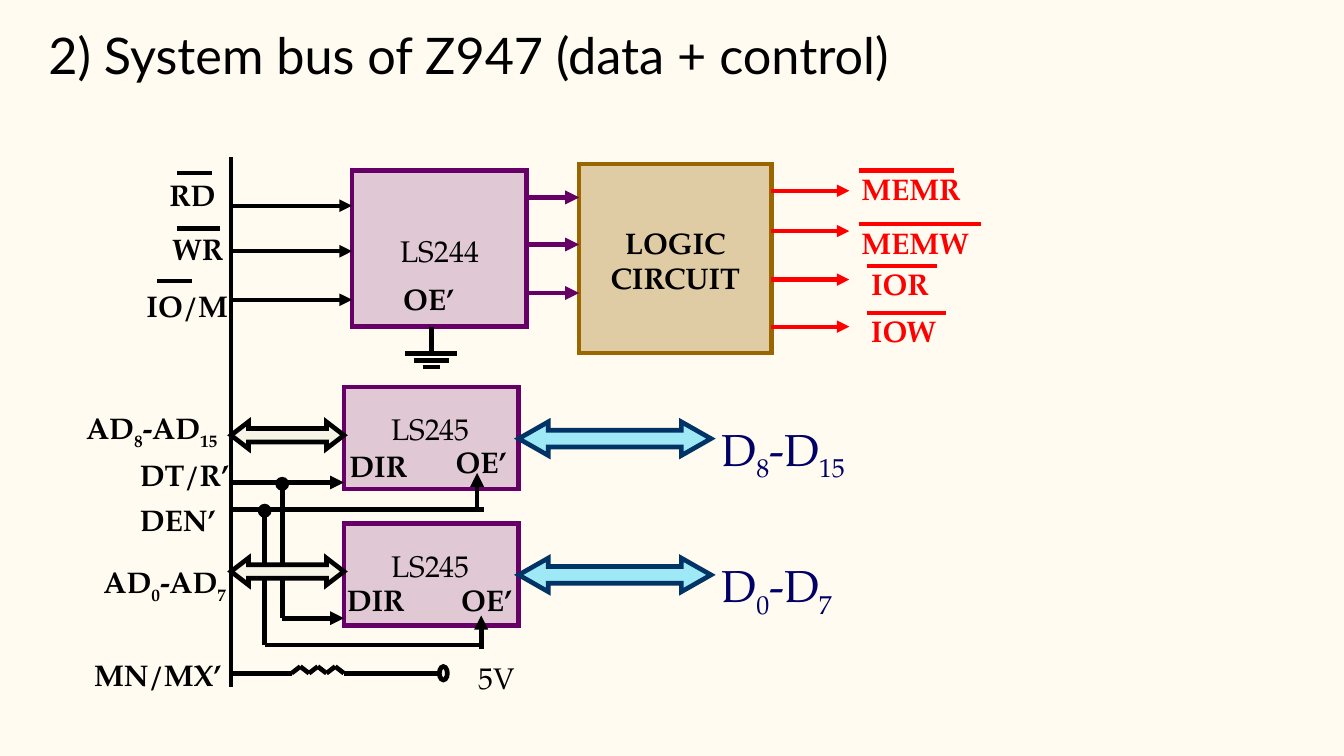
"""Build the slide showing the data and control buses of the Z947."""
from dataclasses import dataclass
from itertools import pairwise

from lxml.etree import SubElement
from pptx import Presentation
from pptx.dml.color import RGBColor
from pptx.enum.shapes import MSO_CONNECTOR, MSO_SHAPE
from pptx.enum.text import MSO_ANCHOR, MSO_AUTO_SIZE, PP_ALIGN
from pptx.oxml.ns import qn
from pptx.util import Pt

COLORS = {
    "page": "FFFBF0", "ink": "000000", "buffer": "660066", "logic": "996600",
    "control": "FF0000", "arrow": "3B812F", "data": "00CCFF",
    "data_line": "003366", "data_text": "000066",
}
BUS_X, LS244_X, LS244_RIGHT = 123.8, 188.6, 282.2
LS245_X, LS245_RIGHT = 184.3, 277.9
LOGIC_X, LOGIC_RIGHT, OUTPUT_X = 310.3, 413.3, 455
ROW_PITCH = 73


@dataclass
class Block:
    kind: MSO_SHAPE
    x: float
    y: float
    w: float
    h: float
    fill: str
    alpha: int
    line: str
    width: float = 2.5
    adj: tuple = ()


@dataclass
class Wire:
    x1: float
    y1: float
    x2: float
    y2: float
    color: str = "ink"
    width: float = 2.5
    head: str = ""
    tail: str = ""


@dataclass
class Label:
    """Text lines; within a line every second part is a subscript."""
    lines: list
    x: float
    y: float
    w: float
    h: float = 26.6
    size: int = 16
    bold: bool = True
    color: str = "ink"
    align: PP_ALIGN = PP_ALIGN.LEFT


@dataclass
class Signal:
    name: str
    x: float
    y: float
    w: float
    bar_x1: float
    bar_x2: float
    bar_y: float
    wire_y: float


def rgb(name: str) -> RGBColor:
    return RGBColor.from_string(COLORS[name])


def apply(obj, fmt: dict) -> None:
    for key, value in fmt.items():
        setattr(obj, key, value)


def add_block(s, b: Block) -> None:
    sp = s.shapes.add_shape(b.kind, Pt(b.x), Pt(b.y), Pt(b.w), Pt(b.h))
    sp.shadow.inherit = False
    for i, value in enumerate(b.adj):
        sp.adjustments[i] = value
    sp.fill.solid()
    sp.fill.fore_color.rgb = rgb(b.fill)
    color = sp._element.spPr.find(qn("a:solidFill"))[0]
    SubElement(color, qn("a:alpha"), val=str(b.alpha * 1000))
    sp.line.color.rgb = rgb(b.line)
    sp.line.width = Pt(b.width)
    SubElement(sp.line._get_or_add_ln(), qn("a:miter"), lim="800000")


def add_wire(s, w: Wire) -> None:
    sp = s.shapes.add_connector(MSO_CONNECTOR.STRAIGHT, Pt(w.x1), Pt(w.y1), Pt(w.x2), Pt(w.y2))
    sp.line.color.rgb = rgb(w.color)
    sp.line.width = Pt(w.width)
    for tag, end in (("a:headEnd", w.head), ("a:tailEnd", w.tail)):
        if end:
            SubElement(sp.line._get_or_add_ln(), qn(tag), type=end)
    SubElement(sp._element.spPr, qn("a:effectLst"))


def add_label(s, t: Label) -> None:
    sp = s.shapes.add_textbox(Pt(t.x), Pt(t.y), Pt(t.w), Pt(t.h))
    tf = sp.text_frame
    margins = dict.fromkeys(("margin_left", "margin_top", "margin_right", "margin_bottom"), Pt(3.6))
    apply(tf, {"word_wrap": True, "auto_size": MSO_AUTO_SIZE.SHAPE_TO_FIT_TEXT, **margins})
    for n, parts in enumerate(t.lines):
        p = tf.add_paragraph() if n else tf.paragraphs[0]
        p.alignment = t.align
        for i, part in enumerate(parts):
            r = p.add_run()
            r.text = part
            apply(r.font, {"name": "TeX Gyre Pagella", "size": Pt(t.size), "bold": t.bold})
            r.font.color.rgb = rgb(t.color)
            if i % 2:
                r._r.get_or_add_rPr().set("baseline", "-25000")


def add_signal(s, g: Signal, start: float, end: float, color: str) -> None:
    add_wire(s, Wire(start, g.wire_y, end, g.wire_y, color, 2.25, tail="triangle"))
    add_wire(s, Wire(g.bar_x1, g.bar_y, g.bar_x2, g.bar_y, color, 2.25))
    add_label(s, Label([[g.name]], g.x, g.y, g.w, color=color))


def add_title(s, text: str) -> None:
    sp = s.shapes.title
    apply(sp, {"left": Pt(18.7), "top": Pt(5), "width": Pt(671), "height": Pt(48.2)})
    tf = sp.text_frame
    margins = dict.fromkeys(("margin_left", "margin_top", "margin_right", "margin_bottom"), Pt(7.2))
    apply(tf, {"vertical_anchor": MSO_ANCHOR.MIDDLE, "word_wrap": True, **margins})
    p = tf.paragraphs[0]
    p.alignment = PP_ALIGN.LEFT
    r = p.add_run()
    r.text = text
    apply(r.font, {"name": "Lato", "size": Pt(27), "bold": False})
    r.font.color.rgb = rgb("ink")


RECT, ARROW = MSO_SHAPE.RECTANGLE, MSO_SHAPE.LEFT_RIGHT_ARROW
CENTER = PP_ALIGN.CENTER
INPUTS = [
    Signal("RD", 87.1, 91.4, 48.2, 95, 113.8, 92.9, 110.2),
    Signal("WR", 88.6, 120.2, 51.1, 95, 118.1, 122.4, 134.6),
    Signal("IO/M", 74.9, 150.5, 60.5, 84.2, 103, 150.5, 160.6),
]
OUTPUTS = [
    Signal("MEMR", 457.9, 87.8, 68.4, 460.1, 511.2, 91.4, 102.2),
    Signal("MEMW", 457.9, 116.6, 82.8, 460.1, 525.6, 120.2, 123.8),
    Signal("IOR", 463, 139, 42.5, 464.4, 501.8, 142.6, 149.8),
    Signal("IOW", 463, 164.2, 48.2, 464.4, 506.9, 167.8, 175),
]
BLOCKS = [
    Block(RECT, LS244_X, 91.4, 93.6, 83.5, "buffer", 20, "buffer"),
    Block(RECT, LOGIC_X, 87.8, 103, 101.5, "logic", 31, "logic", 2.25),
    Block(MSO_SHAPE.OVAL, 235.4, 357.1, 4.3, 7.2, "arrow", 5, "ink"),
]
LABELS = [
    Label([["LS244"]], 208.1, 121, 55.4, bold=False, align=CENTER),
    Label([["OE’"]], 212.4, 146.9, 36.7),
    Label([["LOGIC"], ["CIRCUIT"]], 317.5, 116.6, 88.6, 46.1, align=CENTER),
    Label([["AD", "8", "-AD", "15"]], 42.5, 216, 87.8),
    Label([["AD", "0", "-AD", "7"]], 51.8, 298.5, 87.8),
    Label([["DT/R’"]], 71.3, 241.2, 82.8),
    Label([["DEN’"]], 71.3, 265, 82.8),
    Label([["MN/MX’"]], 46.8, 348.5, 87.8),
    Label([["5V"]], 252.7, 349.9, 36.7, bold=False),
    Label([["DIR"]], 183.6, 236.2, 41),
    Label([["DIR"]], 182.2, 308.2, 41),
    Label([["OE’"]], 240.5, 234, 36.7),
    Label([["OE’"]], 243.4, 308.2, 36.7),
]
for row, (low, high) in enumerate((("8", "15"), ("0", "7"))):
    dy = row * ROW_PITCH
    BLOCKS += [
        Block(RECT, LS245_X, 207.4 + dy, 93.6, 54.7, "buffer", 20, "buffer"),
        Block(ARROW, BUS_X, 226 + dy, 60.5, 14.4, "arrow", 5, "ink", adj=(0.5, 0.65)),
        Block(ARROW, LS245_RIGHT, 226 + dy, 103, 18, "data", 38, "data_line", adj=(0.5, 0.88)),
    ]
    LABELS += [
        Label([["LS245"]], 203, 216.7 + dy, 55.4, bold=False, align=CENTER),
        Label([["D", low, "-D", high]], 383, 222.5 + dy, 106.6, 36, 24, False, "data_text"),
    ]
RESISTOR = [(156.2 + 4.68 * i, 360.7 - 3.6 * (i % 2)) for i in range(7)]
WIRES = [
    Wire(BUS_X, 84.2, BUS_X, 367.9),
    Wire(BUS_X, 258.5, LS245_X, 258.5, tail="triangle"),
    Wire(151.2, 259.2, 151.2, 302.4, head="oval"),
    Wire(151.2, 309.6, 151.2, 331.2),
    Wire(151.2, 331.2, LS245_X, 331.2, tail="triangle"),
    Wire(BUS_X, 272.9, 259.2, 272.9),
    Wire(141.8, 273.6, 141.8, 302.4, head="oval"),
    Wire(141.8, 309.6, 141.8, 345.6),
    Wire(141.8, 345.6, 259.2, 345.6),
    Wire(255.6, 271.4, 255.6, 253.4, tail="triangle"),
    Wire(257.8, 347.8, 257.8, 329.8, tail="triangle"),
    Wire(231.1, 175, 231.1, 189.4),
    *[Wire(231.1 - half, y, 231.1 + half, y) for half, y in ((14, 189.4), (9.4, 193), (4.7, 196.6))],
    *[Wire(LS244_RIGHT, y, LOGIC_X, y, "buffer", tail="triangle") for y in (105.8, 131, 157)],
    *[Wire(*a, *b) for a, b in pairwise([(BUS_X, 360.7), *RESISTOR, (235.4, 360.7)])],
]


def main() -> None:
    prs = Presentation()
    apply(prs, {"slide_width": Pt(720), "slide_height": Pt(405)})
    s = prs.slides.add_slide(prs.slide_layouts[5])
    s.background.fill.solid()
    s.background.fill.fore_color.rgb = rgb("page")
    add_title(s, "2) System bus of Z947 (data + control)")
    for items, draw in ((BLOCKS, add_block), (WIRES, add_wire), (LABELS, add_label)):
        for item in items:
            draw(s, item)
    for signals, *ends in ((INPUTS, BUS_X, LS244_X, "ink"), (OUTPUTS, LOGIC_RIGHT, OUTPUT_X, "control")):
        for signal in signals:
            add_signal(s, signal, *ends)
    prs.save("out.pptx")


if __name__ == "__main__":
    main()
